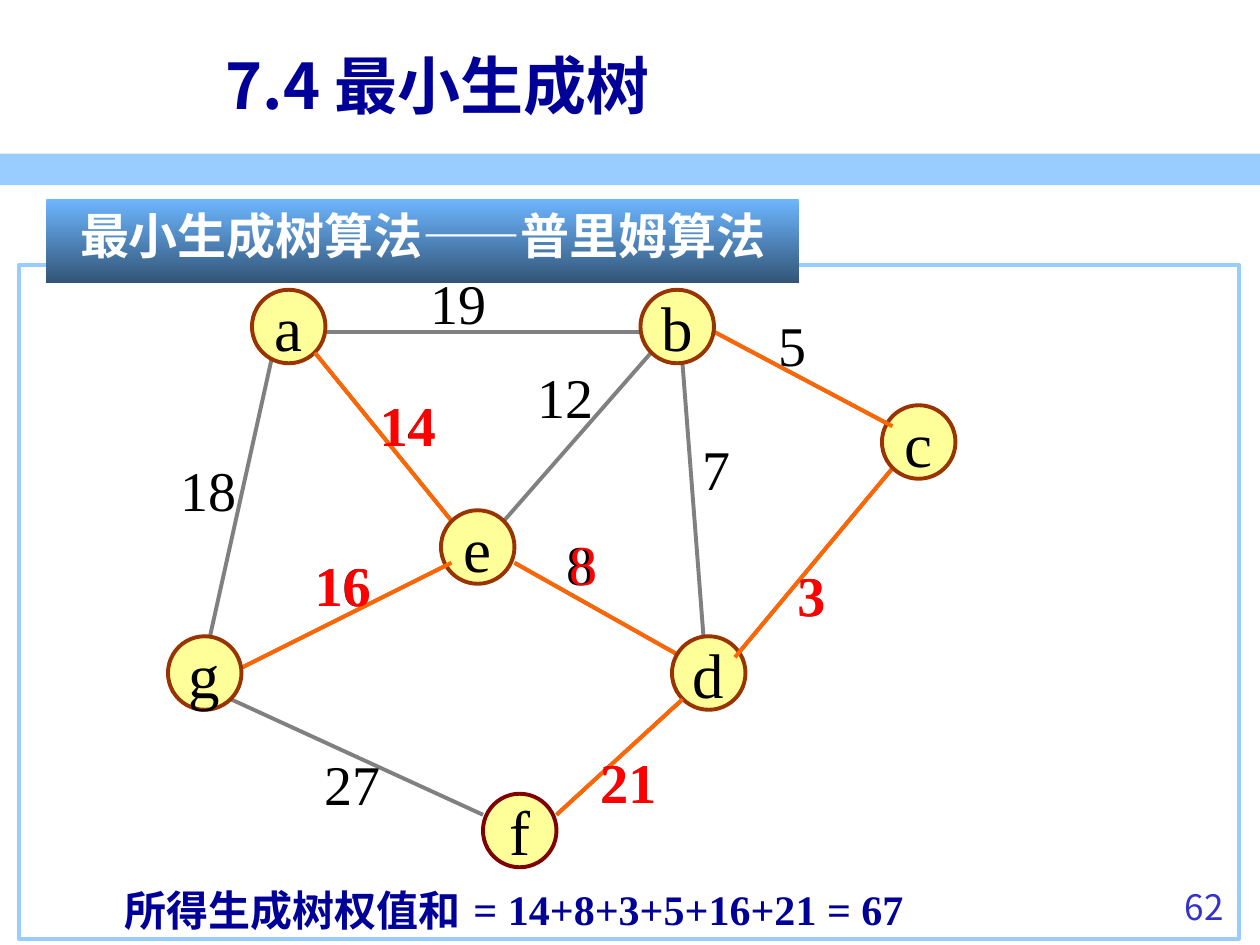
from dataclasses import dataclass
from typing import Optional

from lxml import etree
from pptx import Presentation
from pptx import util as u
from pptx.dml import color
from pptx.enum import shapes, text
from pptx.oxml import ns

COLOURS = {
    "band": "99CCFF", "navy": "000099", "number": "3333CC", "grey": "808080",
    "tree": "FF6600", "node": "FFFF99", "rim": "993300", "last_rim": "800000",
    "black": "000000", "red": "FF0000", "white": "FFFFFF",
    "banner_top": "6DB6FF", "banner_base": "325476",
}
SERIF, SANS, PLAIN = "Times New Roman", "Noto Sans CJK SC", "Noto Sans CJK KR"
NODE_SIZE = 42
LINE_WIDTH = 2.25


@dataclass
class Style:
    colour: str
    size: float
    name: str = SERIF
    bold: bool = False
    align: text.PP_ALIGN = text.PP_ALIGN.LEFT
    anchor: text.MSO_ANCHOR = text.MSO_ANCHOR.TOP
    wrap: bool = False


@dataclass
class Node:
    label: str
    left: float
    top: float
    rim: str = "rim"


@dataclass
class Edge:
    start: tuple[float, float]
    end: tuple[float, float]
    weight: str
    label_at: tuple[float, float]
    chosen_at: Optional[tuple[float, float]] = None
    chosen_bold: bool = True


@dataclass
class Label:
    wording: str
    area: tuple[float, float, float, float]
    style: Style


NODE_STYLE = Style("black", 36, align=text.PP_ALIGN.CENTER, anchor=text.MSO_ANCHOR.MIDDLE)
BANNER_STYLE = Style("white", 28, SANS, True, text.PP_ALIGN.CENTER, wrap=True)
SUM_STYLE = Style("navy", 24, bold=True)

NODES = {node.label: node for node in (
    Node("a", 144, 165.6),
    Node("b", 366, 165.6),
    Node("c", 504, 231.6),
    Node("d", 384, 363.6),
    Node("e", 252, 291.6),
    Node("f", 276, 453.6, "last_rim"),
    Node("g", 96, 363.6),
)}

EDGES = {
    "ab": Edge((186, 189.6), (366, 189.6), "19", (239, 149.8)),
    "ae": Edge((180, 201.6), (258, 297.6), "14", (210, 219.6), (210, 219.6)),
    "be": Edge((372, 201.6), (288, 297.6), "12", (300, 203.8)),
    "ag": Edge((156, 201.6), (120, 363.6), "18", (96, 257)),
    "ge": Edge((138, 381.6), (258, 321.6), "16", (172.8, 311), (172.8, 311)),
    "ed": Edge((294, 321.6), (390, 375.6), "8", (316.8, 298.8), (318.2, 298.8), False),
    "bc": Edge((408, 189.6), (510, 243.6), "5", (437.8, 174.2)),
    "cd": Edge((510, 267.6), (420, 363.6 + 12), "3", (448.6, 316.8), (448.6, 316.8)),
    "bd": Edge((390, 207.6), (402, 363.6), "7", (394.6, 244.8)),
    "gf": Edge((132, 399.6), (276, 465.6), "27", (178.6, 424.8)),
    "df": Edge((390, 399.6), (318, 465.6), "21", (336, 423.4), (336, 423.4)),
}

GROWTH = (("", "a"), ("ae", "e"), ("ed", "d"), ("cd", "c"),
          ("bc", "b"), ("ge", "g"), ("df", "f"))

LABELS = (
    Label("62", (638, 502.6, 68.4, 37.4),
          Style("number", 20, PLAIN, align=text.PP_ALIGN.RIGHT, wrap=True)),
    Label("7.4 最小生成树", (121.7, 15.1, 589.7, 66.2),
          Style("navy", 36, SANS, True, anchor=text.MSO_ANCHOR.MIDDLE, wrap=True)),
    Label("所得生成树权值和", (64, 501.8, 207.4, 36), SUM_STYLE),
    Label("= 14+8+3+5+16+21 = 67", (263.5, 501.1, 260, 36), SUM_STYLE),
)


def rgb(name: str) -> color.RGBColor:
    return color.RGBColor.from_string(COLOURS[name])


def points(values) -> list:
    return [u.Pt(value) for value in values]


def write(box, wording: str, style: Style):
    frame = box.text_frame
    frame.word_wrap = style.wrap
    frame.vertical_anchor = style.anchor
    para = frame.paragraphs[0]
    para.alignment = style.align
    span = para.add_run()
    span.text = wording
    formats = {"name": style.name, "size": u.Pt(style.size), "bold": style.bold}
    for attribute, value in formats.items():
        setattr(span.font, attribute, value)
    span.font.color.rgb = rgb(style.colour)
    asian = etree.SubElement(span.font._element, ns.qn("a:ea"))
    asian.set("typeface", SANS if style.name == SERIF else style.name)
    return para


def add_label(page, label: Label) -> None:
    box = page.shapes.add_textbox(*points(label.area))
    write(box, label.wording, label.style)


def add_weight(page, wording: str, at: tuple[float, float], style: Style) -> None:
    width = 14.4 + 16.2 * len(wording)
    add_label(page, Label(wording, (*at, width, 45.4), style))


def add_shape(page, kind, area, fill: Optional[str] = None, line: Optional[str] = None):
    shape = page.shapes.add_shape(kind, *points(area))
    shape.shadow.inherit = False
    if fill:
        shape.fill.solid()
        shape.fill.fore_color.rgb = rgb(fill)
    else:
        shape.fill.background()
    if line:
        shape.line.color.rgb = rgb(line)
        shape.line.width = u.Pt(LINE_WIDTH)
    else:
        shape.line.fill.background()
    return shape


def add_node(page, node: Node) -> None:
    area = (node.left, node.top, NODE_SIZE, NODE_SIZE)
    circle = add_shape(page, shapes.MSO_SHAPE.OVAL, area, "node", node.rim)
    write(circle, node.label, NODE_STYLE)


def add_edge(page, edge: Edge, colour: str) -> None:
    line = page.shapes.add_connector(
        shapes.MSO_CONNECTOR.STRAIGHT, *points((*edge.start, *edge.end)))
    line.line.color.rgb = rgb(colour)
    line.line.width = u.Pt(LINE_WIDTH)
    etree.SubElement(line._element.spPr, ns.qn("a:effectLst"))


def add_banner(page) -> None:
    banner = add_shape(page, shapes.MSO_SHAPE.RECTANGLE, (26.6, 113.8, 429.8, 48.2))
    banner.fill.gradient()
    banner.fill.gradient_angle = 270
    for stop, name in zip(banner.fill.gradient_stops, ("banner_top", "banner_base")):
        stop.color.rgb = rgb(name)
    write(banner, "最小生成树算法——普里姆算法", BANNER_STYLE)


def main() -> None:
    deck = Presentation()
    deck.slide_width, deck.slide_height = points((720, 540))
    page = deck.slides.add_slide(deck.slide_layouts[6])
    add_shape(page, shapes.MSO_SHAPE.RECTANGLE, (0, 87.8, 720, 18), "band")
    for edge in EDGES.values():
        add_edge(page, edge, "grey")
    for joining, reached in GROWTH:
        if joining:
            add_edge(page, EDGES[joining], "tree")
        add_node(page, NODES[reached])
    for edge in EDGES.values():
        add_weight(page, edge.weight, edge.label_at, Style("black", 32))
        if edge.chosen_at:
            add_weight(page, edge.weight, edge.chosen_at,
                       Style("red", 32, bold=edge.chosen_bold))
    for label in LABELS:
        add_label(page, label)
    add_shape(page, shapes.MSO_SHAPE.RECTANGLE, (10.8, 151.2, 697, 385.2), line="band")
    add_banner(page)
    deck.save("out.pptx")


if __name__ == "__main__":
    main()
